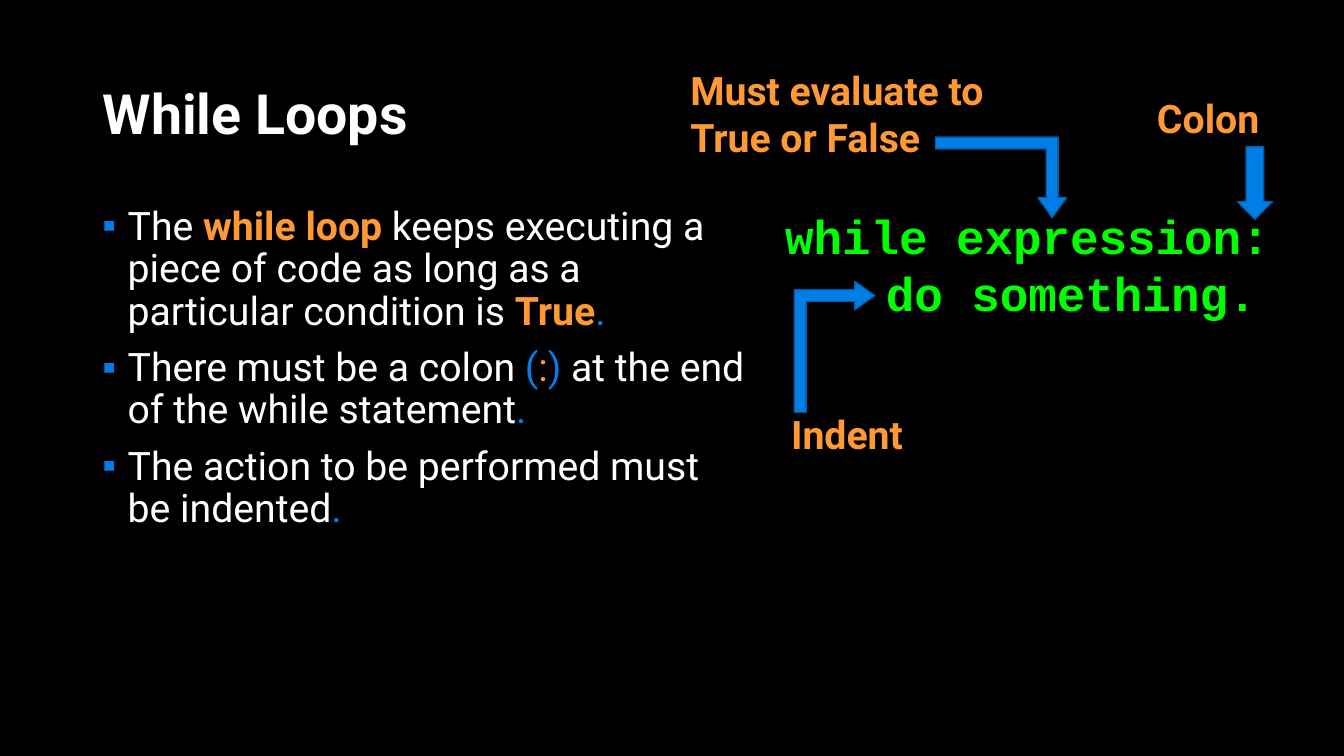
from lxml.etree import SubElement
from pptx import Presentation
from pptx.dml.color import RGBColor
from pptx.enum.shapes import MSO_SHAPE
from pptx.enum.text import MSO_ANCHOR, MSO_AUTO_SIZE, PP_ALIGN
from pptx.oxml.ns import qn
from pptx.util import Inches, Pt

COLORS = {
    "background": "000000",
    "text": "FFFFFF",
    "keyword": "FF9933",
    "accent": "017EE5",
    "outline": "015DA9",
    "bullet": "007EE5",
    "code": "00FF00",
}
COLUMNS, ROWS = 160, 90

prs = Presentation()
prs.slide_width, prs.slide_height = Inches(13.33), Inches(7.5)


def rgb(name):
    return RGBColor.from_string(COLORS[name])


def cells(box, left, top, width, height):
    col, row = prs.slide_width / COLUMNS, prs.slide_height / ROWS
    return (int((box[0] + left) * col), int((box[1] + top) * row),
            int(width * col), int(height * row))


def place(sp, box):
    sp.left, sp.top, sp.width, sp.height = cells((0, 0), *box)


def add_run(p, text, size, color, bold=False, font="Roboto"):
    r = p.add_run()
    r.text = text
    r.font.name, r.font.size, r.font.bold = font, Pt(size), bold
    r.font.color.rgb = rgb(color)


def indent(p, left, first=0):
    pPr = p._p.get_or_add_pPr()
    pPr.set("marL", str(Inches(left)))
    pPr.set("indent", str(Inches(first)))
    return pPr


def add_bullet(p):
    pPr = indent(p, 0.25, -0.25)
    SubElement(SubElement(pPr, qn("a:buClr")), qn("a:srgbClr")).set("val", COLORS["bullet"])
    SubElement(pPr, qn("a:buFont")).set("typeface", "Arial")
    SubElement(pPr, qn("a:buChar")).set("char", "\u25aa")


def add_title(s, box):
    sp = s.shapes.title
    place(sp, box)
    tf = sp.text_frame
    tf.auto_size = MSO_AUTO_SIZE.NONE
    tf.vertical_anchor = MSO_ANCHOR.MIDDLE
    p = tf.paragraphs[0]
    p.alignment, p.line_spacing = PP_ALIGN.LEFT, 0.9
    add_run(p, "While Loops", 39.6, "text", True)


def add_body(s, box, points):
    sp = s.placeholders[1]
    place(sp, box)
    tf = sp.text_frame
    tf.auto_size = MSO_AUTO_SIZE.NONE
    for i, runs in enumerate(points):
        p = tf.add_paragraph() if i else tf.paragraphs[0]
        p.line_spacing, p.space_before = 0.9, Pt(10)
        add_bullet(p)
        for text, color, bold in runs:
            add_run(p, text, 28, color, bold)


def add_label(s, box, at, lines, size=28, color="keyword", font="Roboto"):
    tf = s.shapes.add_textbox(*cells(box, *at)).text_frame
    tf.word_wrap, tf.auto_size = False, MSO_AUTO_SIZE.SHAPE_TO_FIT_TEXT
    for i, line in enumerate(lines):
        p = tf.add_paragraph() if i else tf.paragraphs[0]
        add_run(p, line, size, color, True, font)
    return tf


def add_arrow(s, box, at, kind):
    sp = s.shapes.add_shape(kind, *cells(box, *at))
    sp.shadow.inherit = False
    sp.fill.solid()
    sp.fill.fore_color.rgb = rgb("accent")
    sp.line.color.rgb = rgb("outline")
    sp.line.width = Pt(1)
    return sp


def add_bent_arrow(s, box, left, top, rotation):
    sp = add_arrow(s, box, (left, top, 15.6, 9.6), MSO_SHAPE.BENT_UP_ARROW)
    for i, share in enumerate((0.147, 0.177, 0.25)):
        sp.adjustments[i] = share
    sp.rotation = rotation
    sp._element.spPr.find(qn("a:xfrm")).set("flipH", "1")


def add_syntax_diagram(s, box):
    code = add_label(s, box, (12.28, 17, 60.72, 15),
                     ["while expression:", "do something."], 34, "code", "Courier New")
    indent(code.paragraphs[1], 1)
    add_label(s, box, (13, 41.24, 16.92, 6.84), ["Indent"])
    add_bent_arrow(s, box, 11.56, 29.48, 90)
    add_bent_arrow(s, box, 31.36, 9.32, 180)
    add_label(s, box, (1, 0.32, 41.04, 12.48), ["Must evaluate to ", "True or False"])
    add_label(s, box, (56.56, 3.68, 15.36, 6.84), ["Colon"])
    add_arrow(s, box, (67.3, 10.46, 4.2, 8.64), MSO_SHAPE.DOWN_ARROW)


POINTS = [
    [("The ", "text", False), ("while loop ", "keyword", True),
     ("keeps executing a piece of code as long as a particular condition is ", "text", False),
     ("True", "keyword", True), (".", "accent", False)],
    [("There must be a colon ", "text", False), ("(", "accent", False),
     (":", "keyword", False), (")", "accent", False),
     (" at the end of the while statement", "text", False), (".", "accent", False)],
    [("The action to be performed must be indented", "text", False), (".", "accent", False)],
]

s = prs.slides.add_slide(prs.slide_layouts[1])
s.background.fill.solid()
s.background.fill.fore_color.rgb = rgb("background")
add_title(s, (11, 9.6, 138, 8.64))
add_body(s, (11, 24, 79.32, 63.48), POINTS)
add_syntax_diagram(s, (80, 7))
prs.save("out.pptx")
